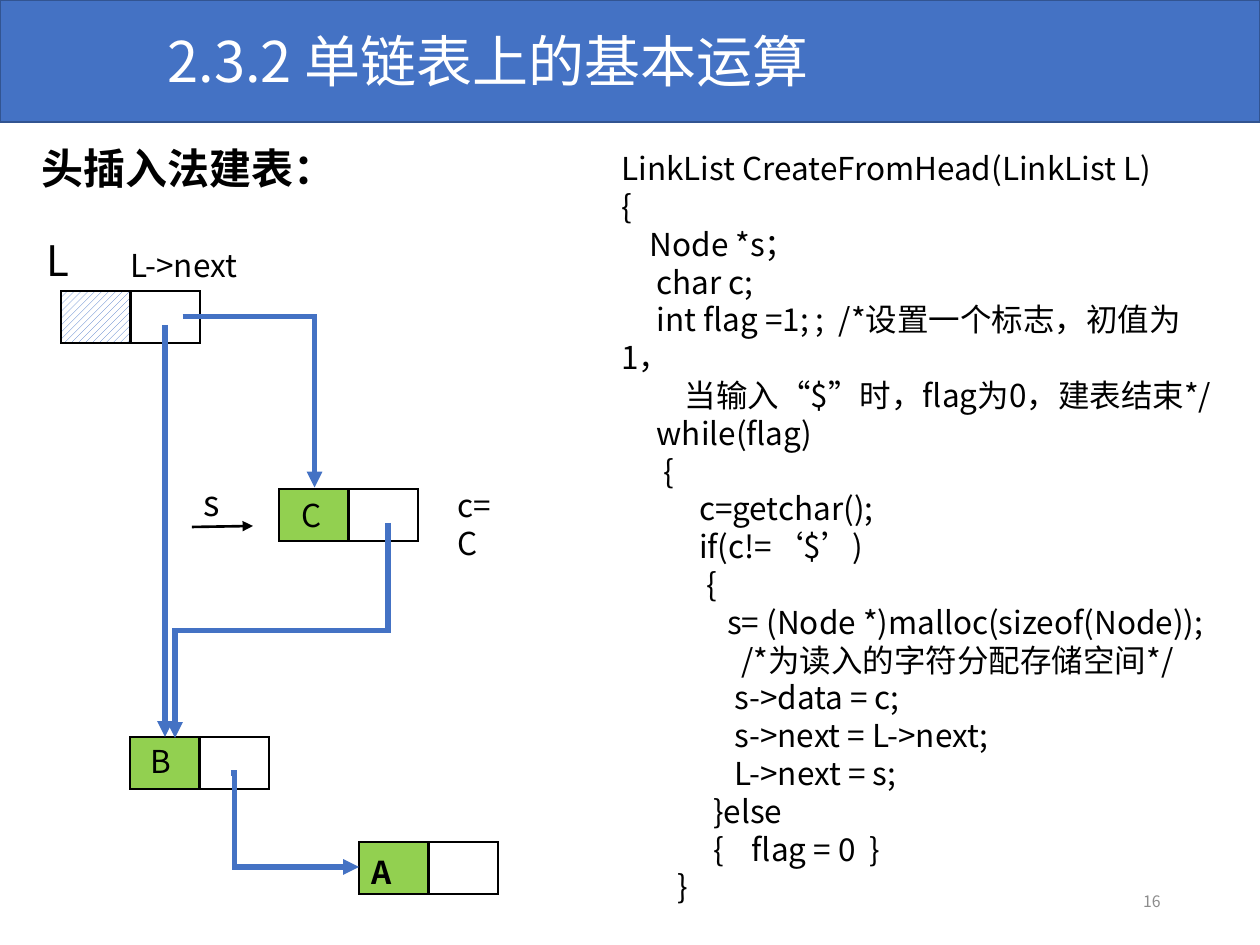
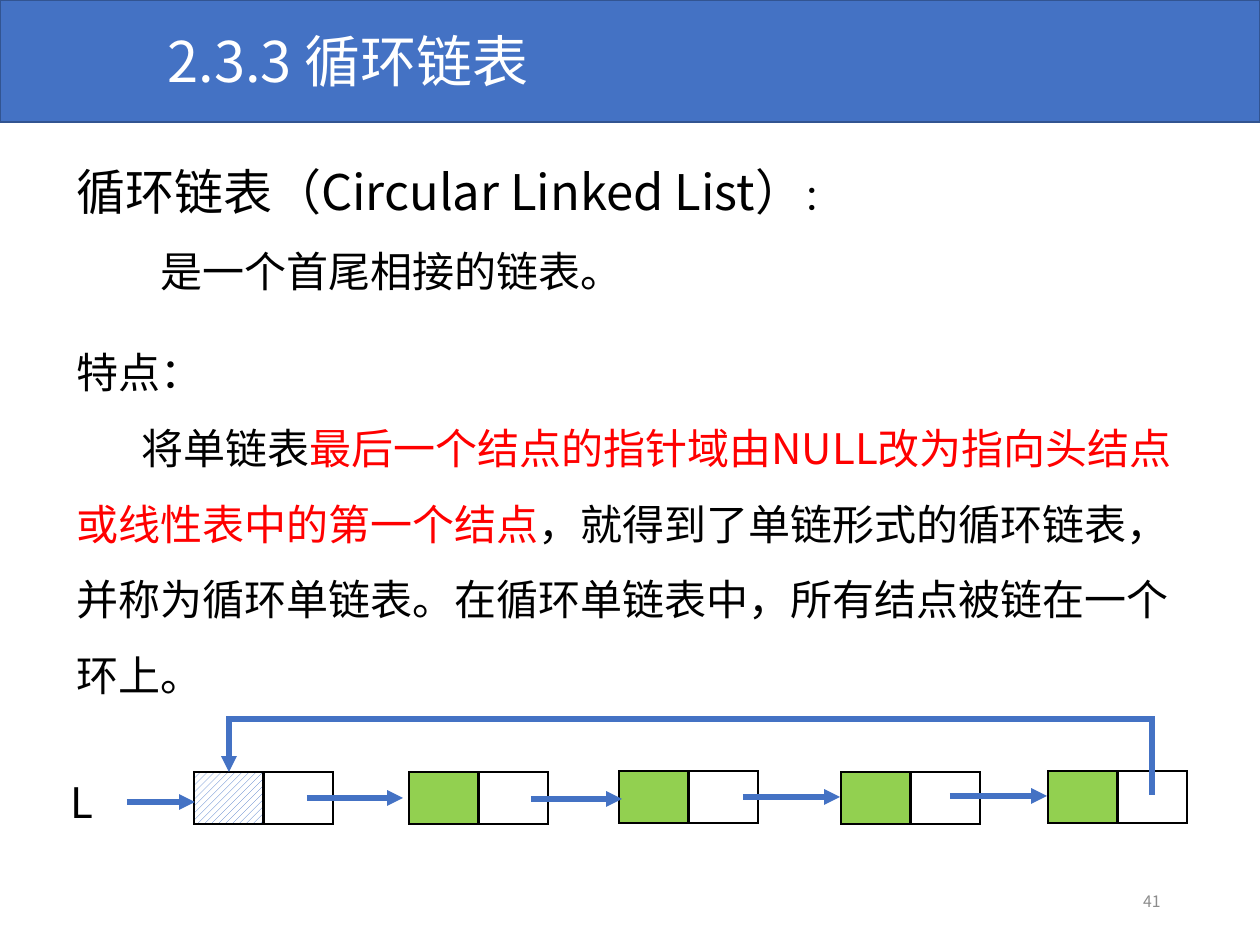
from lxml import etree
from pptx import Presentation
from pptx.dml.color import RGBColor
from pptx.enum import dml, shapes, text
from pptx.oxml import ns
from pptx import util as u

EMU_PER_PX = 914400 / 126
FONT = "Noto Sans CJK SC"
BLUE, BAND_EDGE, GREEN, RED = "4472C4", "325491", "92D050", "FF0000"
BLACK, WHITE, GREY = "000000", "FFFFFF", "8C8C8C"
HATCH = "hatch"
CELL_W, CELL_H, CELL_STEP = 69, 52, 70

CODE = """LinkList CreateFromHead(LinkList L)
{
    Node *s；
     char c;
     int flag =1; ;  /*设置一个标志，初值为1，
         当输入“$”时，flag为0，建表结束*/
     while(flag)
      {
           c=getchar();
           if(c!=‘$’)
            {
               s= (Node *)malloc(sizeof(Node));
                 /*为读入的字符分配存储空间*/
                s->data = c;
                s->next = L->next;
                L->next = s;
             }else
             {    flag = 0  }
        }"""


def px(*lengths):
    return [u.Emu(round(n * EMU_PER_PX)) for n in lengths]


def rgb(hex_colour):
    return RGBColor.from_string(hex_colour)


def add_xml(parent, tag, **attributes):
    return etree.SubElement(parent, ns.qn(tag), attributes)


def style(run, size, colour=BLACK, bold=False):
    run.font.size = u.Pt(size)
    run.font.bold = bold
    run.font.color.rgb = rgb(colour)
    run.font.name = FONT
    add_xml(run.font._element, "a:ea", typeface=FONT)


def write(frame, words, size, colour=BLACK, bold=False, align=text.PP_ALIGN.LEFT):
    frame.text = words
    frame.word_wrap = True
    for paragraph in frame.paragraphs:
        paragraph.alignment = align
        for run in paragraph.runs:
            style(run, size, colour, bold)


def place(shape, box):
    shape.left, shape.top, shape.width, shape.height = px(*box)


def label(slide, box, words, size, **look):
    frame = slide.shapes.add_textbox(*px(*box)).text_frame
    write(frame, words, size, **look)
    return frame


def header_and_number(slide, heading, number):
    band = slide.shapes.add_shape(shapes.MSO_SHAPE.RECTANGLE, *px(0, 0, 1260, 122))
    band.shadow.inherit = False
    band.fill.solid()
    band.fill.fore_color.rgb = rgb(BLUE)
    band.line.color.rgb = rgb(BAND_EDGE)
    band.line.width = u.Pt(1)
    slide.shapes._spTree.insert(2, band._element)  # behind the title

    title = slide.shapes.title
    place(title, (155, 20, 857, 81))
    write(title.text_frame, heading, 32, WHITE)
    title.text_frame.vertical_anchor = text.MSO_ANCHOR.TOP
    title.text_frame.auto_size = text.MSO_AUTO_SIZE.NONE

    page = label(slide, (890, 876, 283, 50), number, 9,
                 colour=GREY, align=text.PP_ALIGN.RIGHT)
    page.vertical_anchor = text.MSO_ANCHOR.MIDDLE


def border(cell):
    properties = cell._tc.get_or_add_tcPr()
    for side in "LRTB":
        edge = add_xml(properties, f"a:ln{side}", w=str(u.Pt(1)))
        add_xml(add_xml(edge, "a:solidFill"), "a:srgbClr", val=BLACK)


def field(slide, left, top, fill):
    """One field of a list node, a table of a single cell."""
    table = slide.shapes.add_table(1, 1, *px(left, top, CELL_W, CELL_H)).table
    table.first_row = table.horz_banding = False
    cell = table.cell(0, 0)
    border(cell)
    if fill == HATCH:
        cell.fill.patterned()
        cell.fill.pattern = dml.MSO_PATTERN.WIDE_UPWARD_DIAGONAL
        cell.fill.fore_color.rgb = rgb(BLUE)
        cell.fill.back_color.rgb = rgb(WHITE)
    else:
        cell.fill.solid()
        cell.fill.fore_color.rgb = rgb(fill)
    return cell


def node(slide, left, top, data_fill=GREEN):
    """Draw the data and pointer fields; return the data field."""
    data = field(slide, left, top, data_fill)
    field(slide, left + CELL_STEP, top, WHITE)
    return data


def arrow(slide, start, end, colour=BLUE, width=3, kind=shapes.MSO_CONNECTOR.STRAIGHT):
    link = slide.shapes.add_connector(kind, *px(*start, *end))
    link.line.color.rgb = rgb(colour)
    link.line.width = u.Pt(width)
    line = link.line._get_or_add_ln()
    add_xml(line, "a:miter", lim="800000")
    add_xml(line, "a:tailEnd", type="triangle")
    add_xml(link._element.spPr, "a:effectLst")
    return link


def elbow(slide, frame, bends, turn=0, mirrored=False):
    """Bent arrow; frame is its box before turning, bends are shares of it."""
    left, top, width, height = frame
    link = arrow(slide, (left, top), (left + width, top + height),
                 kind=shapes.MSO_CONNECTOR.ELBOW)
    properties = link._element.spPr
    transform = properties.find(ns.qn("a:xfrm"))
    if turn:
        transform.set("rot", str(turn * 60000))
    if mirrored:
        transform.set("flipH", "1")
    geometry = properties.find(ns.qn("a:prstGeom"))
    geometry.set("prst", f"bentConnector{len(bends) + 2}")
    guides = geometry.find(ns.qn("a:avLst"))
    for number, share in enumerate(bends, 1):
        add_xml(guides, "a:gd", name=f"adj{number}", fmla=f"val {round(share * 100000)}")


def head_insertion_diagram(slide, left, top):
    def at(x, y, *size):
        return (left + x, top + y, *size)

    node(slide, *at(27, 63), HATCH)
    node(slide, *at(245, 261))
    node(slide, *at(96, 509))
    last_data = node(slide, *at(325, 614))
    write(last_data.text_frame, "A", 18, bold=True)

    for box, words, size in (((0, 0, 66, 63), "L", 24),
                             ((84, 12, 161, 50), "L->next", 18),
                             ((157, 247, 40, 55), "s", 20),
                             ((255, 262, 48, 50), "C", 18),
                             ((104, 508, 63, 50), "B", 18),
                             ((411, 252, 72, 50), "c=C", 18)):
        label(slide, at(*box), words, size)

    arrow(slide, at(131, 97), at(131, 509))
    arrow(slide, at(158, 299), at(219, 298), BLACK, 1.5)
    elbow(slide, at(197, 545, 128, 94), [0.03])
    elbow(slide, at(129, 108, 171, 132), [0], turn=270, mirrored=True)
    elbow(slide, at(140, 296, 215, 213), [0.5], turn=90)


def circular_list_diagram(slide, left, top):
    def at(x, y):
        return left + x, top + y

    node(slide, *at(145, 54), HATCH)
    for x, y in ((360, 54), (570, 53), (792, 54), (999, 53)):
        node(slide, *at(x, y))
    label(slide, (*at(0, 52), 93, 63), " L", 24)
    for start, end, y in ((78, 146, 84), (258, 354, 80), (482, 573, 81),
                          (694, 791, 79), (901, 998, 78)):
        arrow(slide, at(start, y), at(end, y))
    elbow(slide, (*at(180, 54), 923, 23), [0, 3.3], turn=180)


def definition(body, box):
    place(body, box)
    frame = body.text_frame
    frame.auto_size = text.MSO_AUTO_SIZE.NONE
    frame.vertical_anchor = text.MSO_ANCHOR.TOP
    # first-line indent in px, line spacing, space before in pt, runs
    paragraphs = [
        (0, 1.5, 0, [("循环链表（Circular Linked List）", 28, BLACK), ("：", 20, BLACK)]),
        (84, 1.5, 0, [("是一个首尾相接的链表。", 24, BLACK)]),
        (0, 1, 29, [("特点：", 24, BLACK)]),
        (65, 1.5, 0, [
            ("将单链表", 24, BLACK),
            ("最后一个结点的指针域由NULL改为指向头结点或线性表中的第一个结点", 24, RED),
            ("，就得到了单链形式的循环链表，并称为循环单链表。"
             "在循环单链表中，所有结点被链在一个环上。", 24, BLACK)]),
    ]
    for index, (indent, spacing, before, runs) in enumerate(paragraphs):
        paragraph = frame.add_paragraph() if index else frame.paragraphs[0]
        properties = paragraph._p.get_or_add_pPr()
        properties.set("marL", "0")
        properties.set("indent", str(px(indent)[0]))
        add_xml(properties, "a:buNone")
        paragraph.line_spacing = spacing
        paragraph.space_before = u.Pt(before)
        for words, size, colour in runs:
            run = paragraph.add_run()
            run.text = words
            style(run, size, colour)


def head_insertion_slide(deck):
    slide = deck.slides.add_slide(deck.slide_layouts[5])
    header_and_number(slide, "2.3.2 单链表上的基本运算", "16")
    label(slide, (29, 136, 352, 63), "头插入法建表：", 24, bold=True)
    head_insertion_diagram(slide, 34, 228)
    label(slide, (609, 143, 624, 776), CODE, 18)


def circular_list_slide(deck):
    slide = deck.slides.add_slide(deck.slide_layouts[1])
    header_and_number(slide, "2.3.3 循环链表", "41")
    definition(slide.placeholders[1], (64, 126, 1133, 636))
    circular_list_diagram(slide, 49, 718)


def main():
    deck = Presentation()
    deck.slide_width, deck.slide_height = px(1260, 945)
    head_insertion_slide(deck)
    circular_list_slide(deck)
    deck.save("out.pptx")


if __name__ == "__main__":
    main()
